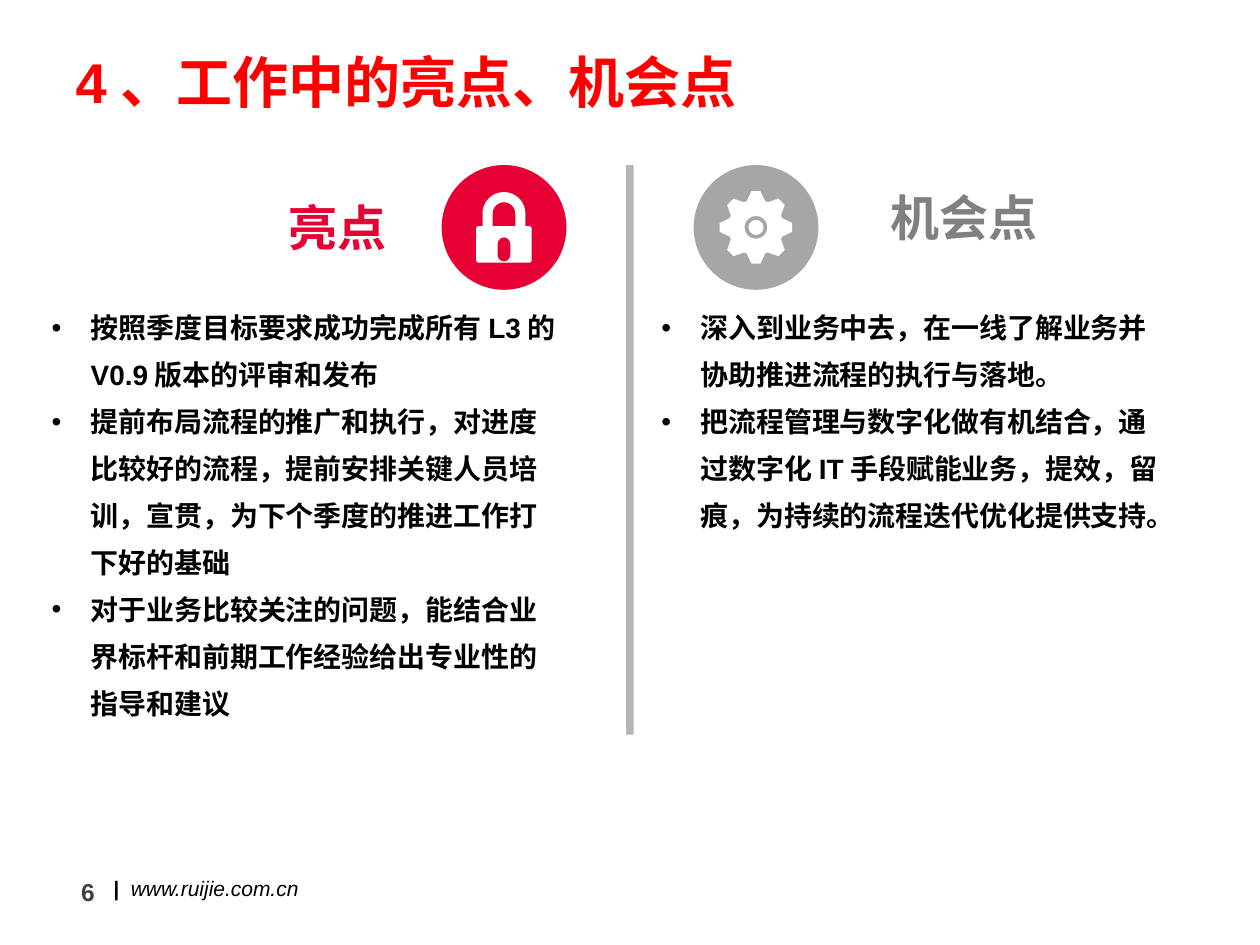
from math import cos, radians, sin

from lxml.etree import SubElement
from pptx import Presentation
from pptx.dml.color import RGBColor
from pptx.enum.shapes import MSO_SHAPE as SHAPE
from pptx.enum.text import MSO_ANCHOR as ANCHOR, MSO_AUTO_SIZE as FIT, PP_ALIGN as ALIGN
from pptx.oxml.ns import qn
from pptx.util import Inches, Pt

WIDTH, HEIGHT = 10, 7.5
MIDDLE = WIDTH / 2
LATIN, HAN = "Arial", "Noto Sans CJK SC"
RED, GREY, WHITE, BLACK = "E60033", "A6A6A6", "FFFFFF", "000000"
BADGE = 0.99
BADGE_TOP = 1.31
BADGE_OFFSET = 1

HIGHLIGHTS = [
    "按照季度目标要求成功完成所有L3的V0.9版本的评审和发布",
    "提前布局流程的推广和执行，对进度比较好的流程，提前安排关键人员培训，宣贯，为下个季度的推进工作打下好的基础",
    "对于业务比较关注的问题，能结合业界标杆和前期工作经验给出专业性的指导和建议",
]
OPPORTUNITIES = [
    "深入到业务中去，在一线了解业务并协助推进流程的执行与落地。",
    "把流程管理与数字化做有机结合，通过数字化IT手段赋能业务，提效，留痕，为持续的流程迭代优化提供支持。",
]


def color(value):
    """Turn a hex string into a colour."""
    return RGBColor.from_string(value)


def place(item, box):
    """Move an item to a box of left, top, width and height in inches."""
    item.left, item.top, item.width, item.height = (Inches(v) for v in box)


def style(run, size, hue, bold=True, italic=False):
    """Format one run in the fonts of the slide."""
    font = run.font
    font.name, font.size, font.bold, font.italic = LATIN, Pt(size), bold, italic
    font.color.rgb = color(hue)
    SubElement(run._r.get_or_add_rPr(), qn("a:ea")).set("typeface", HAN)


def paint(shape, hue):
    """Give a shape a flat fill without outline or shadow."""
    shape.shadow.inherit = False
    shape.fill.solid()
    shape.fill.fore_color.rgb = color(hue)
    shape.line.fill.background()


def add_flat(shapes, kind, box, hue):
    """Add a flat preset shape."""
    shape = shapes.add_shape(kind, *(Inches(v) for v in box))
    paint(shape, hue)


def add_label(slide, box, text, size, hue):
    """Add a one-line bold label and return its frame."""
    frame = slide.shapes.add_textbox(*(Inches(v) for v in box)).text_frame
    frame.word_wrap = True
    frame.text = text
    style(frame.paragraphs[0].runs[0], size, hue)
    return frame


def polar(cx, cy, radius, angle):
    """Return the point at an angle in degrees, clockwise from the right."""
    return cx + radius * cos(radians(angle)), cy + radius * sin(radians(angle))


def arc(cx, cy, radius, start, end, steps=24):
    """Return points along a circular arc."""
    return [polar(cx, cy, radius, start + (end - start) * i / steps) for i in range(steps + 1)]


def add_outline(shapes, contours, hue):
    """Add a freeform from closed contours, where inner ones become holes."""
    contours = [[(Inches(x), Inches(y)) for x, y in contour] for contour in contours]
    builder = shapes.build_freeform(*contours[0][0])
    for index, (first, *rest) in enumerate(contours):
        if index:
            builder.move_to(*first)
        builder.add_line_segments(rest, close=True)
    paint(builder.convert_to_shape(), hue)


def arch(cx, cy, radius, base):
    """Return a half circle standing on straight legs."""
    return [(cx - radius, base), *arc(cx, cy, radius, 180, 360), (cx + radius, base)]


def add_lock(slide, cx, cy):
    """Draw a padlock centred on a point."""
    half, corner, shoulder, base = 0.22, 0.02, cy - 0.01, cy + 0.28
    shackle = cy - 0.11
    body = [
        *arc(cx - half + corner, shoulder + corner, corner, 180, 270, 6),
        *arch(cx, shackle, 0.17, shoulder),
        *arc(cx + half - corner, shoulder + corner, corner, 270, 360, 6),
        *arc(cx + half - corner, base - corner, corner, 0, 90, 6),
        *arc(cx - half + corner, base - corner, corner, 90, 180, 6),
    ]
    keyhole = arc(cx, cy + 0.13, 0.05, 180, 360) + arc(cx, cy + 0.22, 0.05, 0, 180)
    add_outline(slide.shapes, [body, arch(cx, shackle, 0.09, shoulder), keyhole], WHITE)


def add_gear(slide, cx, cy):
    """Draw an eight-toothed gear with a hub centred on a point."""
    tooth = [(-19.5, 0.22), (-7, 0.29), (7, 0.29), (19.5, 0.22)]
    rim = [polar(cx, cy, r, turn + a) for turn in range(0, 360, 45) for a, r in tooth]
    gear = slide.shapes.add_group_shape().shapes
    add_outline(gear, [rim, arc(cx, cy, 0.09, 0, 360, 48)], WHITE)
    add_flat(gear, SHAPE.OVAL, (cx - 0.06, cy - 0.06, 0.12, 0.12), WHITE)


def add_badge(slide, cx, hue, add_icon):
    """Add a round badge with its icon."""
    add_flat(slide.shapes, SHAPE.OVAL, (cx - BADGE / 2, BADGE_TOP, BADGE, BADGE), hue)
    add_icon(slide, cx, BADGE_TOP + BADGE / 2)


def add_points(slide, box, points):
    """Add a bulleted list."""
    frame = slide.shapes.add_textbox(*(Inches(v) for v in box)).text_frame
    frame.word_wrap = True
    frame.margin_left = frame.margin_right = Inches(0.09)
    frame.margin_top = frame.margin_bottom = Inches(0.04)
    frame.text = "\n".join(points)
    for point in frame.paragraphs:
        props = point._p.get_or_add_pPr()
        props.set("marL", str(Inches(0.31)))
        props.set("indent", str(-Inches(0.31)))
        SubElement(props, qn("a:buFont")).set("typeface", LATIN)
        SubElement(props, qn("a:buChar")).set("char", "•")
        point.line_spacing = 1.4
        style(point.runs[0], 16, BLACK)


def add_title(slide, box):
    """Fill the title placeholder."""
    title = slide.shapes.title
    place(title, box)
    frame = title.text_frame
    frame.text = "4、工作中的亮点、机会点"
    frame.auto_size, frame.vertical_anchor = FIT.NONE, ANCHOR.MIDDLE
    frame.paragraphs[0].alignment = ALIGN.LEFT
    style(frame.paragraphs[0].runs[0], 32, "FF0000")


def add_footer(slide, left, top):
    """Add the page number and the web address."""
    page = add_label(slide, (left, top + 0.05, 0.59, 0.26), "6", 14, "404040")
    page.vertical_anchor = ANCHOR.MIDDLE
    page.paragraphs[0].alignment = ALIGN.RIGHT
    site = add_label(slide, (left + 0.54, top, 1.81, 0.31), "|  ", 12, BLACK)
    site.paragraphs[0].runs[0].font.italic = True
    address = site.paragraphs[0].add_run()
    address.text = "www.ruijie.com.cn"
    style(address, 12, BLACK, bold=False, italic=True)


def main():
    """Build and save the slide."""
    deck = Presentation()
    deck.slide_width, deck.slide_height = Inches(WIDTH), Inches(HEIGHT)
    slide = deck.slides.add_slide(deck.slide_layouts[5])
    add_title(slide, (0.5, 0.3, WIDTH - 1, 0.69))
    add_footer(slide, 0.26, 0.92 * HEIGHT)
    add_badge(slide, MIDDLE - BADGE_OFFSET, RED, add_lock)
    add_badge(slide, MIDDLE + BADGE_OFFSET, GREY, add_gear)
    add_flat(slide.shapes, SHAPE.RECTANGLE, (MIDDLE - 0.03, BADGE_TOP, 0.06, 4.52), "B5B5B5")
    add_label(slide, (2.19, 1.52, 1.18, 0.57), "亮点", 28, RED)
    add_label(slide, (6.97, 1.44, 1.73, 0.57), "机会点", 28, "808080")
    add_points(slide, (0.32, 2.32, 4.2, 3.86), HIGHLIGHTS)
    add_points(slide, (5.16, 2.32, 4.2, 1.97), OPPORTUNITIES)
    deck.save("out.pptx")


if __name__ == "__main__":
    main()
